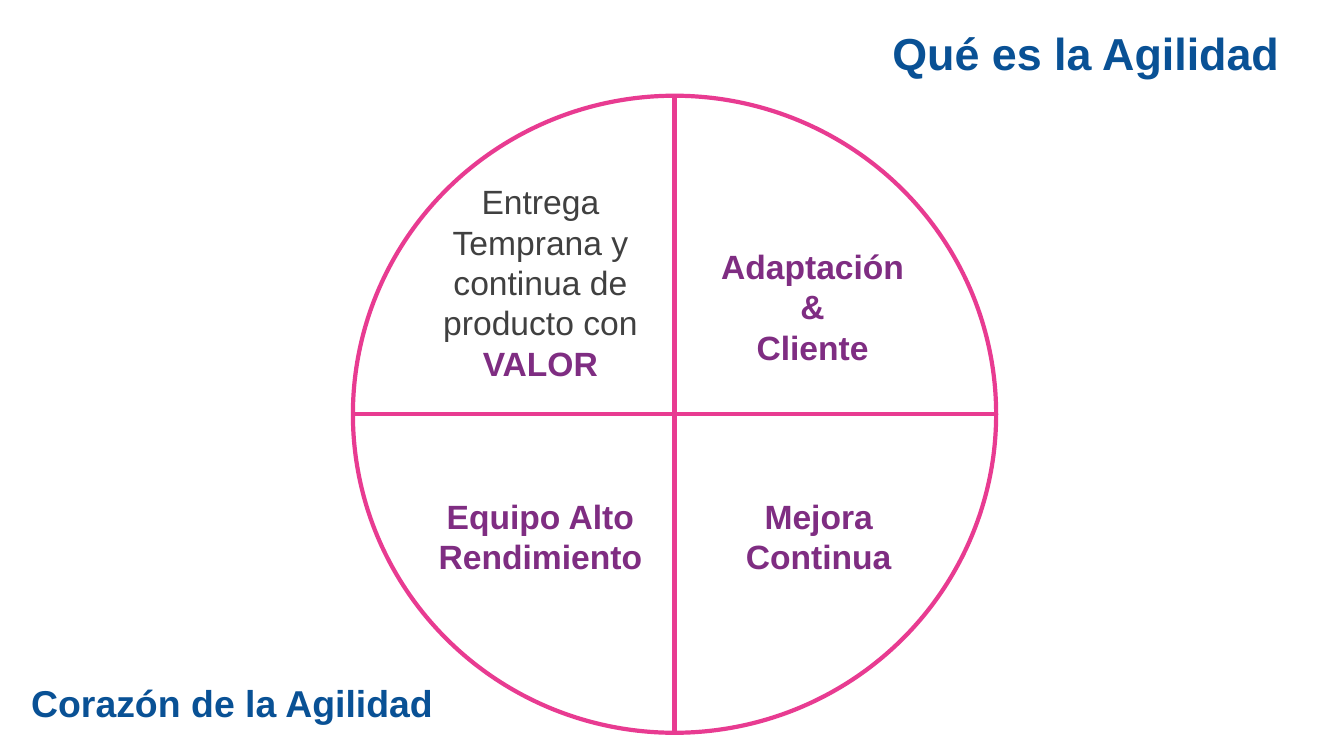
from dataclasses import dataclass

from lxml.etree import SubElement
from pptx import Presentation
from pptx.dml.color import RGBColor
from pptx.enum.shapes import MSO_CONNECTOR as Connector, MSO_SHAPE as Shape
from pptx.enum.text import MSO_ANCHOR as Anchor, MSO_AUTO_SIZE as AutoSize, PP_ALIGN as Align
from pptx.oxml.ns import qn
from pptx.util import Inches, Pt

COLORS = {"pink": "E83B91", "purple": "7F2D82", "blue": "095195", "gray": "404040"}


@dataclass
class Run:
    text: str
    color: str = "purple"
    bold: bool = True
    size: float = 24


@dataclass
class Label:
    box: tuple[float, float, float, float]
    paragraphs: list[list[Run]]
    align: Align = Align.CENTER
    wrap: bool = True


TITLE = Label((8.75, 0.21, 4.07, 0.64), [[Run("Qué es la Agilidad", "blue", size=32)]],
              Align.LEFT, False)
LABELS = [
    Label((4.13, 1.75, 2.46, 2.12), [[
        Run("Entrega Temprana y continua de producto con ", "gray", False), Run("VALOR")]]),
    Label((0.21, 6.7, 4.21, 0.55), [[Run("Corazón de la Agilidad", "blue", size=26.7)]],
          Align.LEFT, False),
    Label((6.83, 2.39, 2.46, 1.31), [[Run(word)] for word in ("Adaptación", "&", "Cliente")]),
    Label((3.98, 4.87, 2.76, 0.91), [[Run("Equipo Alto Rendimiento")]]),
    Label((6.74, 4.87, 2.76, 0.91), [[Run("Mejora Continua")]]),
]


def set_attributes(target, values: dict) -> None:
    for name, value in values.items():
        setattr(target, name, value)


def style_line(line) -> None:
    line.color.rgb = RGBColor.from_string(COLORS["pink"])
    line.width = Pt(3)


def draw_wheel(slide, left: float, top: float, width: float, height: float) -> None:
    wheel = slide.shapes.add_group_shape()
    circle = wheel.shapes.add_shape(
        Shape.OVAL, *map(Inches, (left, top, width, height)))
    circle.shadow.inherit = False
    circle.fill.background()
    style_line(circle.line)
    center_x, center_y = left + width / 2, top + height / 2
    for ends in ((center_x, top, center_x, top + height),
                 (left, center_y, left + width, center_y)):
        divider = wheel.shapes.add_connector(Connector.STRAIGHT, *map(Inches, ends))
        style_line(divider.line)
        SubElement(divider._element.spPr, qn("a:effectLst"))


def write_label(shape, label: Label) -> None:
    set_attributes(shape, dict(zip(("left", "top", "width", "height"), map(Inches, label.box))))
    frame = shape.text_frame
    set_attributes(frame, {"auto_size": AutoSize.NONE, "word_wrap": label.wrap,
                           "vertical_anchor": Anchor.TOP})
    for index, runs in enumerate(label.paragraphs):
        paragraph = frame.add_paragraph() if index else frame.paragraphs[0]
        paragraph.alignment = label.align
        for item in runs:
            run = paragraph.add_run()
            run.text = item.text
            set_attributes(run.font, {"name": "Arial", "size": Pt(item.size), "bold": item.bold})
            run.font.color.rgb = RGBColor.from_string(COLORS[item.color])


def main() -> None:
    """Build the agility wheel slide."""
    presentation = Presentation()
    set_attributes(presentation, {"slide_width": Inches(13.33), "slide_height": Inches(7.5)})
    slide = presentation.slides.add_slide(presentation.slide_layouts[5])
    draw_wheel(slide, 3.5, 0.95, 6.38, 6.32)
    write_label(slide.shapes.title, TITLE)
    for label in LABELS:
        write_label(slide.shapes.add_textbox(*map(Inches, label.box)), label)
    presentation.save("out.pptx")


if __name__ == "__main__":
    main()
